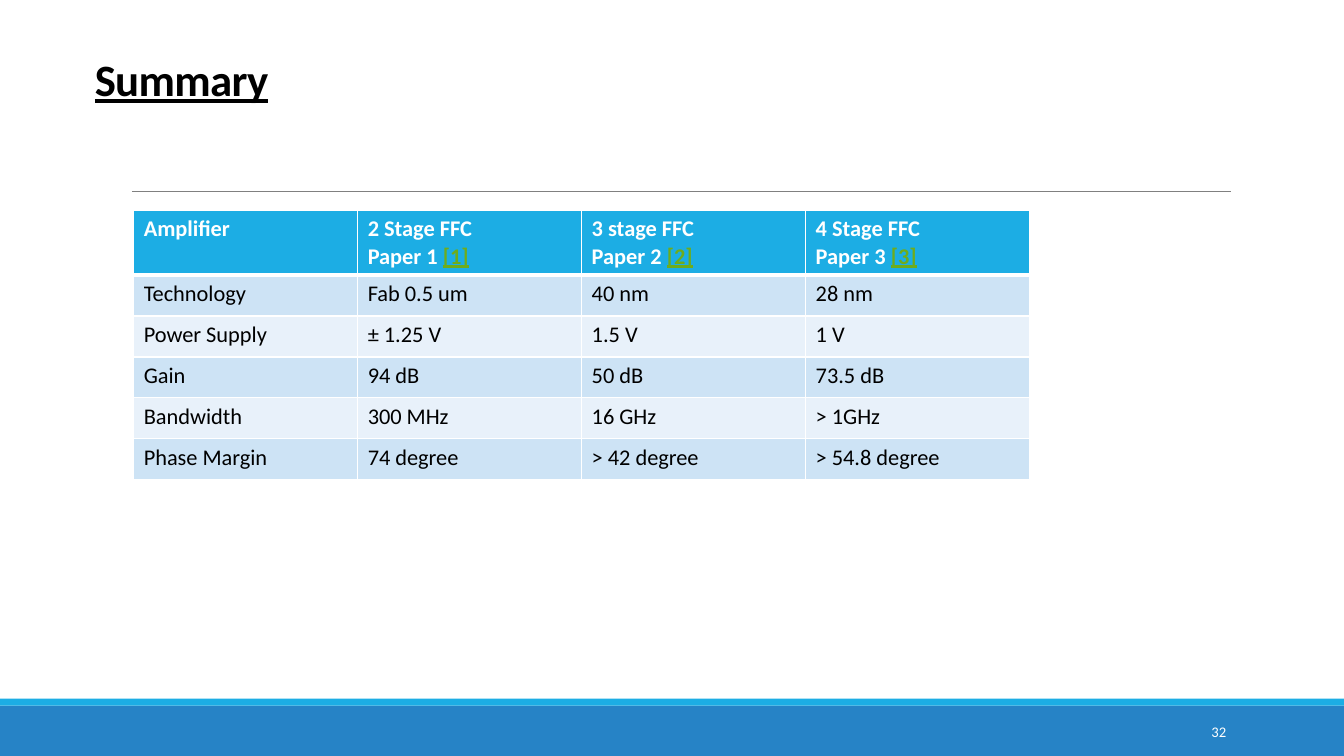
from dataclasses import dataclass

from lxml.etree import SubElement
from pptx import Presentation
from pptx.dml.color import RGBColor
from pptx.enum.shapes import MSO_CONNECTOR as CONN, MSO_SHAPE as SHAPE
from pptx.enum.text import MSO_ANCHOR as ANCHOR, PP_ALIGN as ALIGN
from pptx.oxml import parse_xml
from pptx.oxml.ns import nsdecls, qn
from pptx.util import Pt


@dataclass(frozen=True)
class Theme:
    font: str = "Calibri"
    white: str = "FFFFFF"
    black: str = "000000"
    cyan: str = "1CADE4"
    blue: str = "2683C6"
    gray: str = "808080"
    green: str = "6EAC1C"
    bands: tuple = ("CDE3F5", "E8F1FA")
    title_size: float = 32
    table_size: float = 16
    number_size: float = 10.5


class SlideBuilder:
    def __init__(self, s, theme):
        self.s, self.theme = s, theme

    def style(self, r, size, color, bold=False, underline=False):
        f = r.font
        f.name, f.size, f.bold, f.underline = self.theme.font, Pt(size), bold, underline
        f.color.rgb = RGBColor.from_string(color)

    def place(self, sp, left, top, width, height):
        sp.left, sp.top, sp.width, sp.height = map(Pt, (left, top, width, height))

    def title(self, text, *box):
        sp = self.s.shapes.title
        self.place(sp, *box)
        tf = sp.text_frame
        tf.text = text
        tf.vertical_anchor = ANCHOR.BOTTOM
        p = tf.paragraphs[0]
        p.alignment, p.line_spacing = ALIGN.LEFT, 0.85
        r = p.runs[0]
        self.style(r, self.theme.title_size, self.theme.black, True, True)
        r.font._element.set("spc", "-50")

    def bar(self, color, *box):
        sp = self.s.shapes.add_shape(SHAPE.RECTANGLE, *map(Pt, box))
        sp.shadow.inherit = False
        sp.fill.solid()
        sp.fill.fore_color.rgb = RGBColor.from_string(color)
        sp.line.fill.background()

    def rule(self, left, right, y):
        line = self.s.shapes.add_connector(CONN.STRAIGHT, Pt(left), Pt(y), Pt(right), Pt(y))
        line.line.color.rgb = RGBColor.from_string(self.theme.gray)
        line.line.width = Pt(0.5)
        SubElement(line._element.spPr, qn("a:effectLst"))

    def number(self, text, *box):
        tf = self.s.shapes.add_textbox(*map(Pt, box)).text_frame
        tf.word_wrap = True
        tf.vertical_anchor = ANCHOR.MIDDLE
        tf.text = text
        p = tf.paragraphs[0]
        p.alignment = ALIGN.RIGHT
        self.style(p.runs[0], self.theme.number_size, self.theme.white)

    def borders(self, cell, top, bottom):
        tc_pr = cell._tc.get_or_add_tcPr()
        sides = (("L", 1), ("R", 1), ("T", top), ("B", bottom))
        for i, (side, width) in enumerate(sides):
            tc_pr.insert(i, parse_xml(
                f'<a:ln{side} {nsdecls("a")} w="{Pt(width)}"><a:solidFill>'
                f'<a:srgbClr val="{self.theme.white}"/></a:solidFill></a:ln{side}>'))

    def cell(self, cell, row, text, reference=""):
        t, header = self.theme, row == 0
        cell.fill.solid()
        cell.fill.fore_color.rgb = RGBColor.from_string(
            t.cyan if header else t.bands[(row - 1) % 2])
        self.borders(cell, 3 if row == 1 else 1, 3 if header else 1)
        tf = cell.text_frame
        tf.text = text
        for p in tf.paragraphs:
            for r in p.runs:
                self.style(r, t.table_size, t.white if header else t.black, header)
        if reference:
            r = tf.paragraphs[-1].add_run()
            r.text = reference
            self.style(r, t.table_size, t.green, True, True)

    def table(self, header, body, left, top, col_width, header_height, row_height):
        rows = [header] + [[(text,) for text in row] for row in body]
        height = header_height + row_height * len(body)
        table = self.s.shapes.add_table(
            len(rows), len(header), Pt(left), Pt(top),
            Pt(col_width * len(header)), Pt(height)).table
        for column in table.columns:
            column.width = Pt(col_width)
        for i, row in enumerate(rows):
            table.rows[i].height = Pt(row_height if i else header_height)
            for j, content in enumerate(row):
                self.cell(table.cell(i, j), i, *content)


HEADER = [
    ("Amplifier",),
    ("2 Stage FFC\nPaper 1 ", "[1]"),
    ("3 stage FFC\nPaper 2 ", "[2]"),
    ("4 Stage FFC\nPaper 3 ", "[3]"),
]
BODY = [
    ["Technology", "Fab 0.5 um", "40 nm", "28 nm"],
    ["Power Supply", "± 1.25 V", "1.5 V", "1 V"],
    ["Gain", "94 dB", "50 dB", "73.5 dB"],
    ["Bandwidth", "300 MHz", "16 GHz", "> 1GHz"],
    ["Phase Margin", "74 degree", "> 42 degree", "> 54.8 degree"],
]


def main():
    prs = Presentation()
    prs.slide_width, prs.slide_height = Pt(960), Pt(540)
    theme = Theme()
    slide = SlideBuilder(prs.slides.add_slide(prs.slide_layouts[5]), theme)

    # Footer bands and divider
    slide.bar(theme.blue, 0, 504, 960, 36)
    slide.bar(theme.cyan, 0, 499, 960, 5)
    slide.rule(94.3, 879, 136.8)

    # Title and slide number
    slide.title("Summary", 60.5, 25.2, 792, 54)
    slide.number("32", 780, 508.2, 103, 28.8)

    # Amplifier comparison
    slide.table(HEADER, BODY, left=95.5, top=150.3, col_width=160,
                header_height=46.3, row_height=29.2)

    prs.save("out.pptx")


if __name__ == "__main__":
    main()
